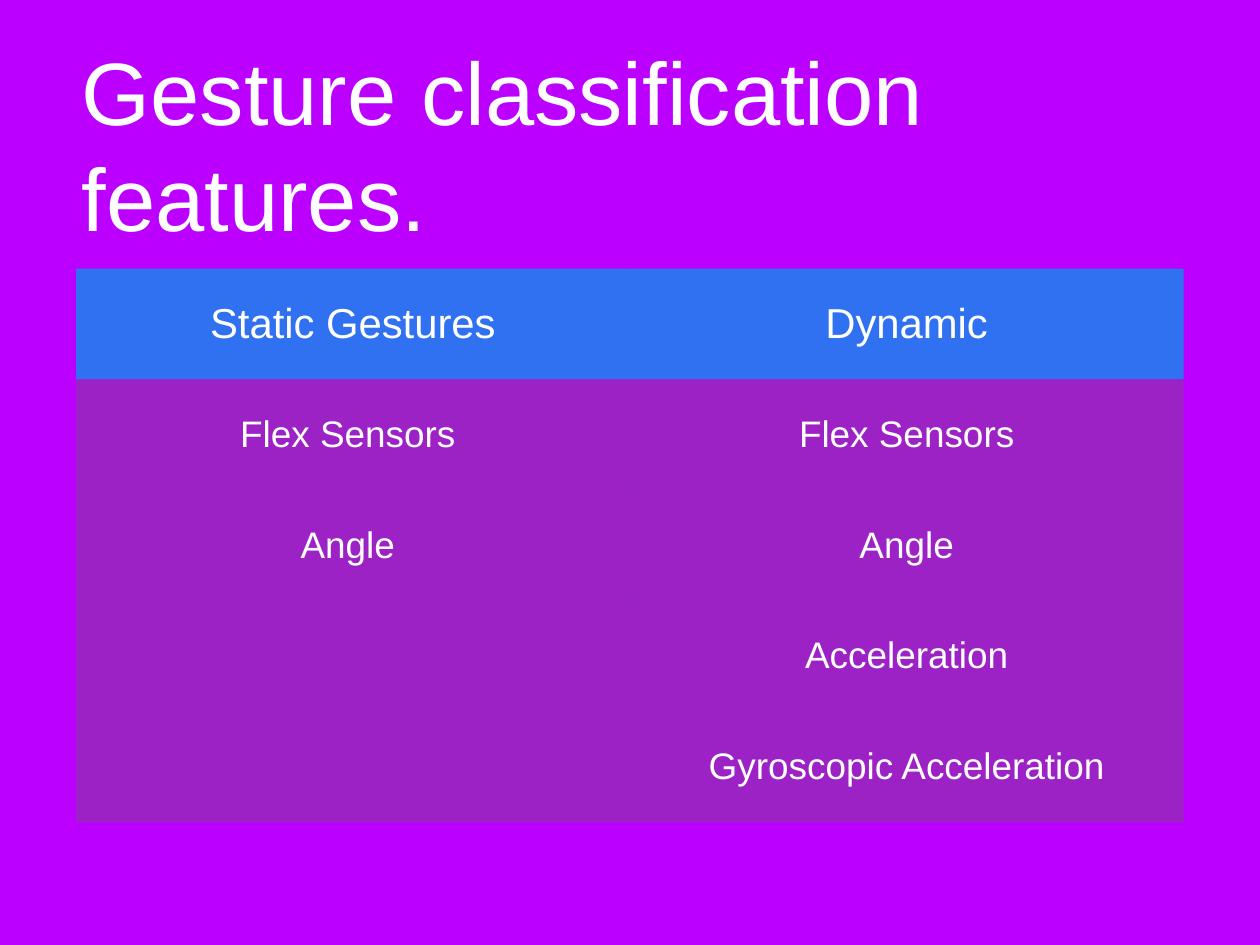
import pptx
import pptx.dml.color
import pptx.enum.text
import pptx.util
from lxml import etree
from pptx.oxml.ns import qn

Cm = pptx.util.Cm
RGBColor = pptx.dml.color.RGBColor
PP_ALIGN = pptx.enum.text.PP_ALIGN
MSO_ANCHOR = pptx.enum.text.MSO_ANCHOR

PURPLE = RGBColor(0xBC, 0x00, 0xFF)
HEADER_BLUE = RGBColor(0x00, 0x97, 0xEB)
BODY_GREY = RGBColor(0x67, 0x61, 0x63)
WHITE = RGBColor(0xFF, 0xFF, 0xFF)

FONT = "Arial"
INSET = Cm(0.16)
NO_STYLE_NO_GRID = "{2D5ABB26-0587-4C30-8999-92F81FD0307C}"

# The spaces after two labels shift the centred text slightly to the left.
FEATURES = [
    ("Static Gestures", "Dynamic"),
    ("Flex Sensors ", "Flex Sensors"),
    ("Angle ", "Angle"),
    ("", "Acceleration"),
    ("", "Gyroscopic Acceleration"),
]


def write_text(frame, text, size, align=PP_ALIGN.LEFT, color=WHITE):
    paragraph = frame.paragraphs[0]
    paragraph.alignment = align
    paragraph.font.size = pptx.util.Pt(size)
    if text:
        run = paragraph.add_run()
        run.text = text
        run.font.name = FONT
        run.font.size = pptx.util.Pt(size)
        run.font.color.rgb = color


def set_insets(holder):
    """Give a text frame or a table cell the same margin on all sides."""
    holder.margin_left = holder.margin_right = INSET
    holder.margin_top = holder.margin_bottom = INSET
    holder.vertical_anchor = MSO_ANCHOR.MIDDLE


def fill_translucent(cell, color, opacity):
    """Fill a cell with a colour; opacity is in percent."""
    cell.fill.solid()
    cell.fill.fore_color.rgb = color
    color_element = cell.fill._xPr.find(qn("a:solidFill"))[0]
    etree.SubElement(color_element, qn("a:alpha"), val=str(opacity * 1000))


def add_title(slide, left, top, width, height):
    title = slide.shapes.add_textbox(left, top, width, height).text_frame
    title.word_wrap = True
    set_insets(title)
    write_text(title, "Gesture classification features.", 72)


def add_feature_table(slide, left, top, width, height):
    frame = slide.shapes.add_table(
        len(FEATURES), len(FEATURES[0]), left, top, width, height)
    features = frame.table
    features.horz_banding = False
    style = frame._element.find(".//" + qn("a:tableStyleId"))
    style.text = NO_STYLE_NO_GRID

    for row, labels in enumerate(FEATURES):
        if row == 0:
            size, color, opacity = 34, HEADER_BLUE, 75
        else:
            size, color, opacity = 30, BODY_GREY, 36
        for column, label in enumerate(labels):
            cell = features.cell(row, column)
            set_insets(cell)
            fill_translucent(cell, color, opacity)
            write_text(cell.text_frame, label, size, PP_ALIGN.CENTER)


def main():
    presentation = pptx.Presentation()
    presentation.slide_width = Cm(36.12)
    presentation.slide_height = Cm(27.1)
    slide = presentation.slides.add_slide(presentation.slide_layouts[6])
    slide.background.fill.solid()
    slide.background.fill.fore_color.rgb = PURPLE

    left, width = Cm(2.18), Cm(31.75)
    add_title(slide, left, Cm(0.71), width, Cm(6.78))
    add_feature_table(slide, left, Cm(7.7), width, Cm(15.88))
    presentation.save("out.pptx")


if __name__ == "__main__":
    main()
